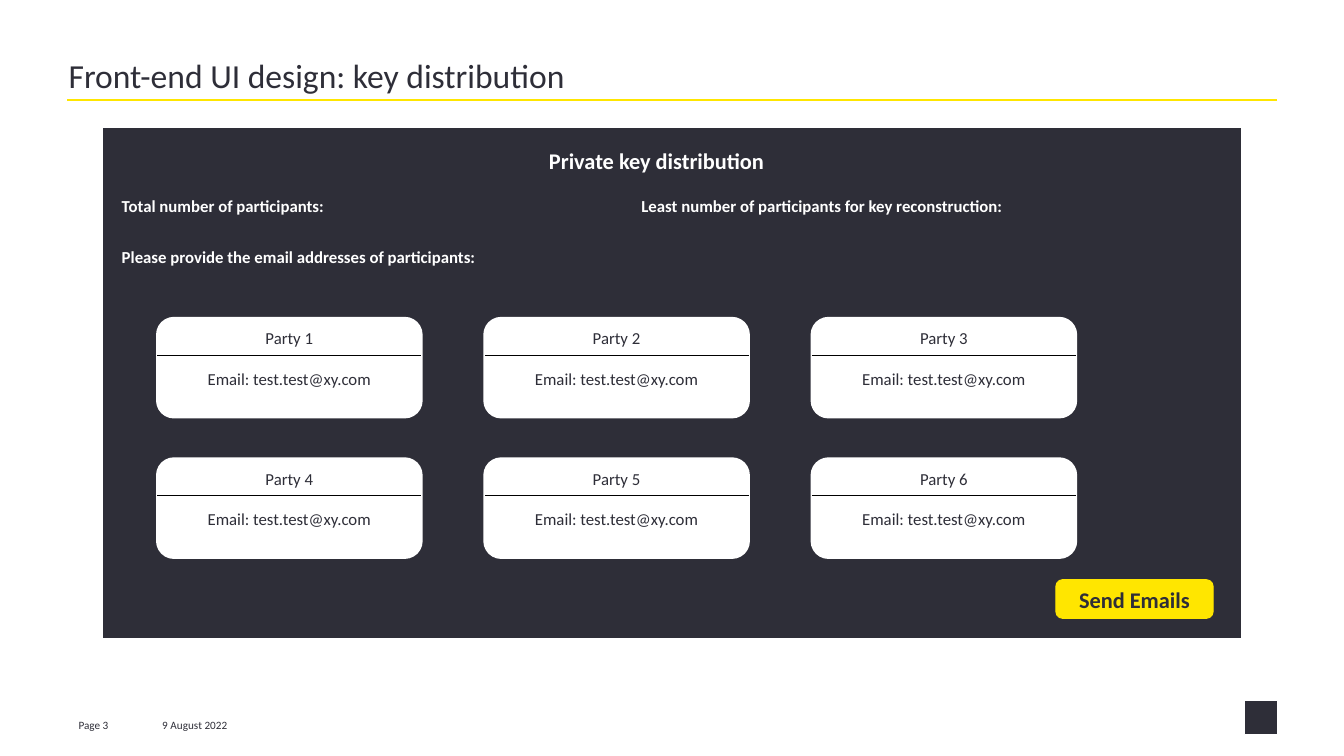
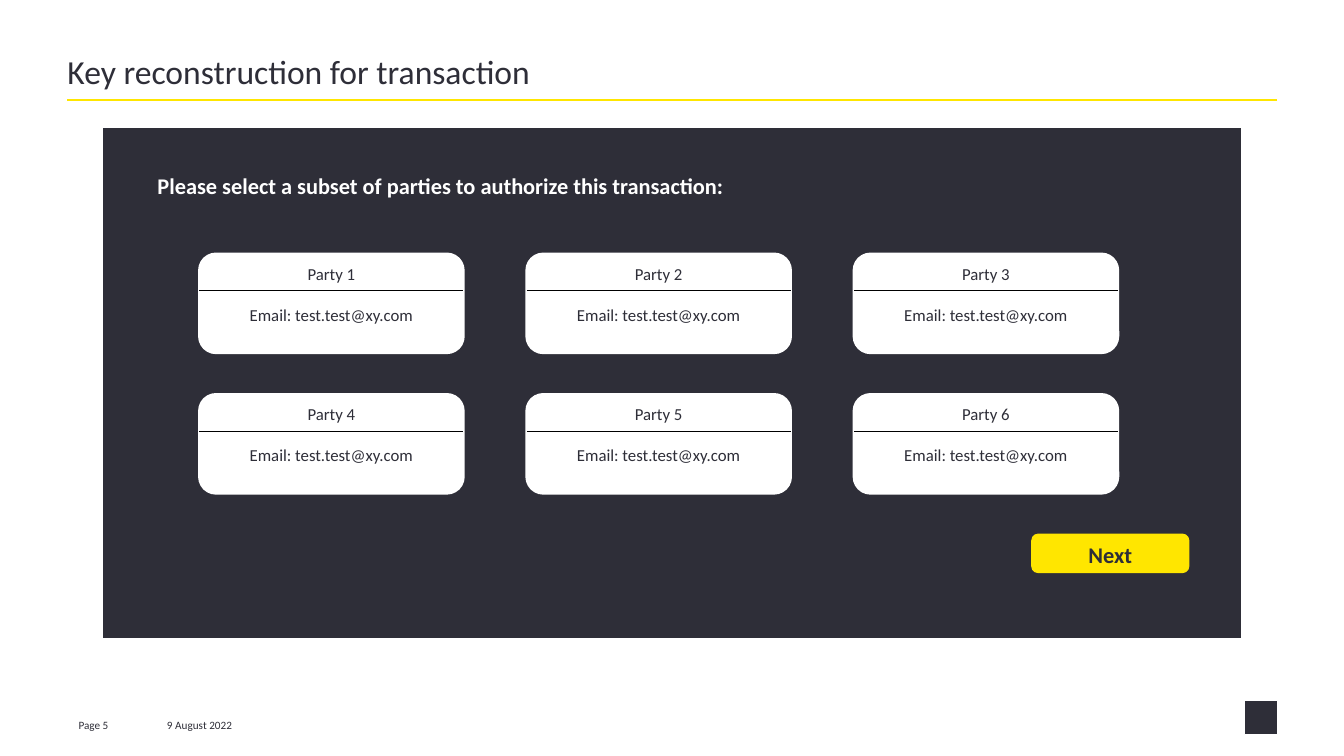
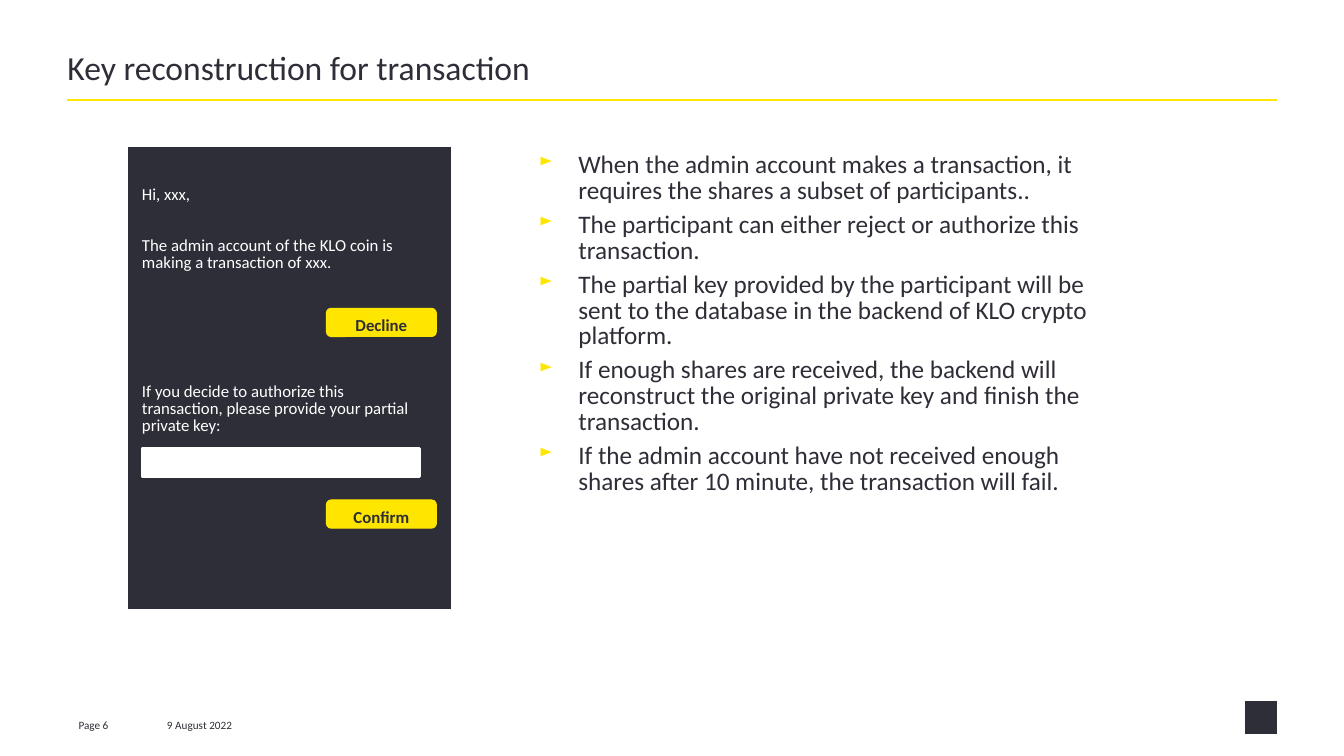
from collections import namedtuple

from lxml.etree import SubElement
from pptx import Presentation
from pptx.dml.color import RGBColor
from pptx.enum.shapes import MSO_CONNECTOR, MSO_SHAPE
from pptx.enum.text import MSO_ANCHOR, PP_ALIGN
from pptx.oxml.ns import qn
from pptx.util import Cm, Pt

Box = namedtuple("Box", "left top width height")

FONT = "Calibri"
DARK, YELLOW, WHITE, BLACK = "2E2E38", "FFE600", "FFFFFF", "000000"
WIDE_PANEL = Box(2.57, 3.18, 28.75, 12.93)
PHONE_PANEL = Box(3.18, 3.68, 8.23, 11.71)
CARD_WIDTH, CARD_HEIGHT = 6.65, 2.49
CARD_STEP_X, CARD_STEP_Y = 8.25, 3.54
CARD_COLUMNS = 3
EMAIL = "Email: test.test@xy.com"
PARTIES = [f"Party {number}" for number in range(1, 7)]
TRANSACTION_STEPS = [
    "When the admin account makes a transaction, it requires the shares a subset of participants..",
    "The participant can either reject or authorize this transaction.",
    "The partial key provided by the participant will be sent to the database "
    "in the backend of KLO crypto platform.",
    "If enough shares are received, the backend will reconstruct the original "
    "private key and finish the transaction.",
    "If the admin account have not received enough shares after 10 minute, the transaction will fail.",
]


def rgb(value):
    return RGBColor.from_string(value)


def inside(outer, left, top, width, height):
    return Box(outer.left + left, outer.top + top, width, height)


def lengths(box):
    return [Cm(value) for value in box]


def write(frame, lines, size, color, bold=False, align=PP_ALIGN.LEFT):
    frame.text = "\n".join(lines)
    frame.word_wrap = True
    frame.vertical_anchor = MSO_ANCHOR.TOP
    for paragraph in frame.paragraphs:
        paragraph.alignment = align
        for run in paragraph.runs:
            run.font.name = FONT
            run.font.size = Pt(size)
            run.font.bold = bold
            run.font.color.rgb = rgb(color)


def add_block(slide, kind, box, fill, line_width=2):
    block = slide.shapes.add_shape(kind, *lengths(box))
    block.shadow.inherit = False
    block.fill.solid()
    block.fill.fore_color.rgb = rgb(fill)
    block.line.color.rgb = rgb(YELLOW if fill == YELLOW else WHITE)
    block.line.width = Pt(line_width)
    return block


def add_rule(slide, left, top, width, color, weight):
    rule = slide.shapes.add_connector(
        MSO_CONNECTOR.STRAIGHT, Cm(left), Cm(top), Cm(left + width), Cm(top))
    rule.line.color.rgb = rgb(color)
    rule.line.width = Pt(weight)
    SubElement(rule._element.spPr, qn("a:effectLst"))


def add_copy(slide, box, lines, size, color=WHITE, bold=False):
    frame = slide.shapes.add_textbox(*lengths(box)).text_frame
    write(frame, lines, size, color, bold)
    frame.margin_left = frame.margin_right = frame.margin_bottom = 0
    frame.margin_top = Cm(0.1)
    for paragraph in frame.paragraphs:
        paragraph.line_spacing = 0.85
        paragraph.space_after = Pt(6)
    return frame


def add_button(slide, box, label, size):
    button = add_block(slide, MSO_SHAPE.ROUNDED_RECTANGLE, box, YELLOW, 0.75)
    write(button.text_frame, [label], size, DARK, True, PP_ALIGN.CENTER)


def add_party_card(slide, box, party):
    card = add_block(slide, MSO_SHAPE.ROUNDED_RECTANGLE, box, WHITE)
    write(card.text_frame, [party, EMAIL], 12, DARK, align=PP_ALIGN.CENTER)
    card.text_frame.paragraphs[1].space_before = Pt(14.65)
    add_rule(slide, box.left, box.top + 0.93, box.width, BLACK, 0.75)


def add_party_grid(slide, panel, left, top):
    for index, party in enumerate(PARTIES):
        row, column = divmod(index, CARD_COLUMNS)
        add_party_card(slide, inside(panel, left + column * CARD_STEP_X,
                                     top + row * CARD_STEP_Y,
                                     CARD_WIDTH, CARD_HEIGHT), party)


def add_footer(slide, page, date_left):
    for left, width, label in ((1.73, 1.85, f"Page {page}"), (date_left, 3.3, "9 August 2022")):
        footer = slide.shapes.add_textbox(*lengths(Box(left, 17.98, width, 0.51)))
        write(footer.text_frame, [label], 8, DARK)
    add_block(slide, MSO_SHAPE.RECTANGLE, Box(31.37, 17.65, 0.83, 0.86), DARK, 0.75)


def start_slide(deck, heading, title_left, title_top, page, date_left):
    slide = deck.slides.add_slide(deck.slide_layouts[5])
    title = slide.shapes.title
    title.left, title.top, title.width, title.height = lengths(
        Box(title_left, title_top, 30.5, 1.65))
    frame = title.text_frame
    write(frame, [heading], 24, DARK)
    frame.margin_left = frame.margin_right = frame.margin_top = frame.margin_bottom = 0
    frame.paragraphs[0].line_spacing = 0.85
    add_rule(slide, 1.7, 2.51, 30.48, YELLOW, 1.5)
    add_footer(slide, page, date_left)
    return slide


def add_distribution_form(slide, panel):
    add_block(slide, MSO_SHAPE.RECTANGLE, panel, DARK)
    add_copy(slide, inside(panel, 11.27, 0.53, 6.22, 0.69),
             ["Private key distribution"], 16, bold=True)
    for left, top, label in (
            (0.5, 1.72, "Total number of participants:"),
            (13.6, 1.72, "Least number of participants for key reconstruction:"),
            (0.5, 3.02, "Please provide the email addresses of participants:")):
        add_copy(slide, inside(panel, left, top, 12, 0.6), [label], 12, bold=True)
    add_party_grid(slide, panel, 1.4, 4.84)
    add_button(slide, inside(panel, 24.05, 11.43, 3.96, 0.97), "Send Emails", 16)


def add_party_selection(slide, panel):
    add_block(slide, MSO_SHAPE.RECTANGLE, panel, DARK)
    add_copy(slide, inside(panel, 1.4, 1.16, 26, 1.35),
             ["Please select a subset of parties to authorize this transaction:"], 16, bold=True)
    add_party_grid(slide, panel, 2.46, 3.22)
    add_button(slide, inside(panel, 23.44, 10.28, 3.96, 0.97), "Next", 16)


def add_authorization_message(slide, panel):
    add_block(slide, MSO_SHAPE.RECTANGLE, panel, DARK)
    message = add_copy(slide, inside(panel, 0.4, 0.92, 6.81, 6.4), [
        "Hi, xxx,",
        "The admin account of the KLO coin is making a transaction of xxx.",
        "If you decide to authorize this transaction, please provide your partial private key:",
    ], 12)
    for paragraph, gap in zip(message.paragraphs, (0, 18.45, 73.8)):
        paragraph.space_before = Pt(gap)
    add_block(slide, MSO_SHAPE.RECTANGLE, inside(panel, 0.4, 7.62, 6.99, 0.71), WHITE)
    for top, label in ((4.09, "Decline"), (8.92, "Confirm")):
        add_button(slide, inside(panel, 5.05, top, 2.77, 0.71), label, 12)


def add_transaction_steps(slide, box):
    steps = add_copy(slide, box, TRANSACTION_STEPS, 18, DARK)
    for paragraph in steps.paragraphs:
        properties = paragraph._p.get_or_add_pPr()
        properties.set("marL", str(Cm(0.99)))
        properties.set("indent", str(-Cm(0.99)))
        bullet_color = SubElement(properties, qn("a:buClr"))
        SubElement(bullet_color, qn("a:srgbClr"), val=YELLOW)
        SubElement(properties, qn("a:buSzPct"), val="70000")
        SubElement(properties, qn("a:buChar"), char="►")


def main():
    deck = Presentation()
    deck.slide_width, deck.slide_height = Cm(33.88), Cm(19.05)

    distribution = start_slide(
        deck, "Front-end UI design: key distribution", 1.73, 1.55, 3, 3.84)
    add_distribution_form(distribution, WIDE_PANEL)

    selection = start_slide(deck, "Key reconstruction for transaction", 1.7, 1.43, 5, 3.96)
    add_party_selection(selection, WIDE_PANEL)

    authorization = start_slide(deck, "Key reconstruction for transaction", 1.7, 1.34, 6, 3.96)
    add_authorization_message(authorization, PHONE_PANEL)
    add_transaction_steps(authorization, Box(13.59, 3.76, 14.63, 9.45))

    deck.save("out.pptx")


if __name__ == "__main__":
    main()
